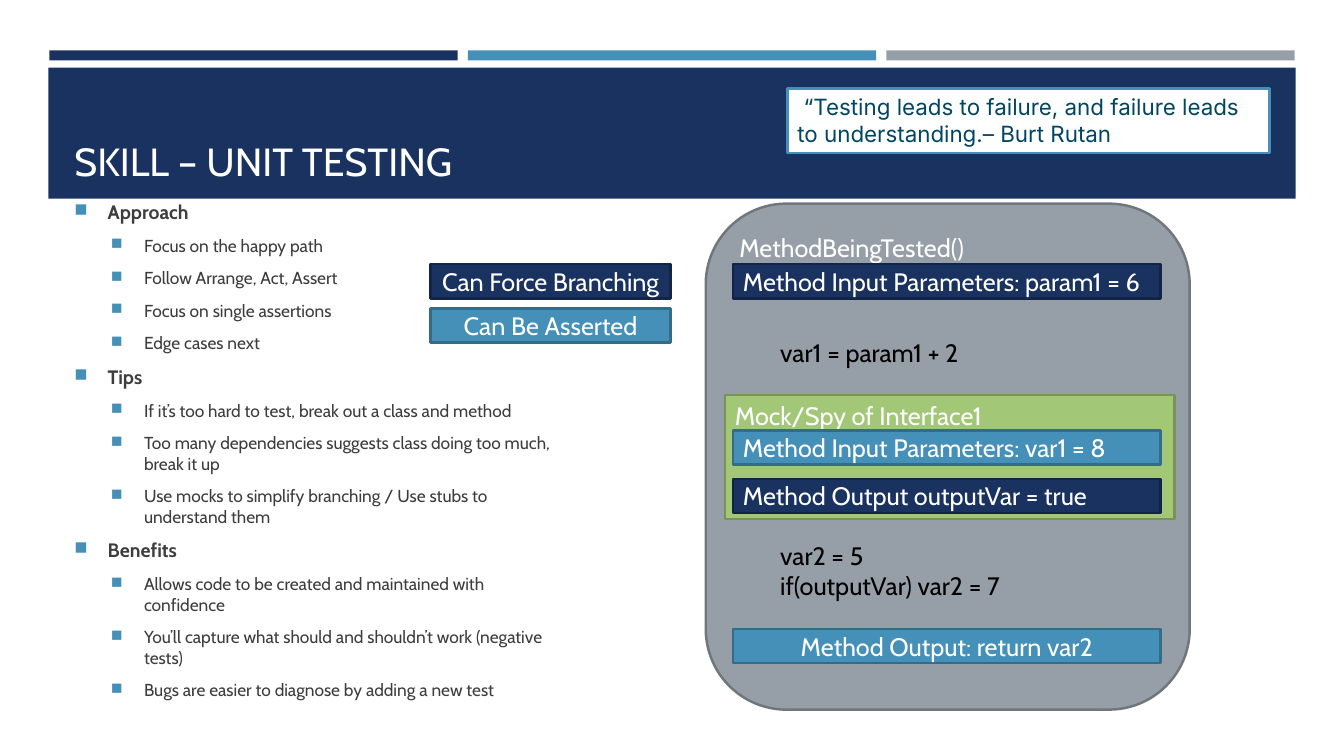
from pptx import Presentation
from pptx.dml.color import RGBColor
from pptx.enum.shapes import MSO_SHAPE
from pptx.enum.text import MSO_ANCHOR, PP_ALIGN
from pptx.oxml import parse_xml
from pptx.oxml.ns import nsdecls
from pptx.util import Inches, Pt

RECTANGLE = MSO_SHAPE.RECTANGLE
ROUNDED = MSO_SHAPE.ROUNDED_RECTANGLE
TOP, MIDDLE, BOTTOM = MSO_ANCHOR.TOP, MSO_ANCHOR.MIDDLE, MSO_ANCHOR.BOTTOM
LEFT, CENTER = PP_ALIGN.LEFT, PP_ALIGN.CENTER

NAVY = RGBColor(0x1A, 0x32, 0x60)
NAVY_EDGE = RGBColor(0x13, 0x25, 0x47)
BLUE = RGBColor(0x45, 0x90, 0xB8)
BLUE_EDGE = RGBColor(0x33, 0x6B, 0x88)
GRAY = RGBColor(0x96, 0x9F, 0xA7)
GRAY_EDGE = RGBColor(0x6F, 0x76, 0x7C)
GREEN = RGBColor(0xA2, 0xC7, 0x77)
GREEN_EDGE = RGBColor(0x78, 0x93, 0x58)
TEAL = RGBColor(0x00, 0x46, 0x63)
DARK = RGBColor(0x3D, 0x3D, 0x3D)
WHITE = RGBColor(0xFF, 0xFF, 0xFF)
BLACK = RGBColor(0x00, 0x00, 0x00)


def add_text(shape, lines, size=18, color=WHITE, anchor=TOP, align=LEFT, font="Cabin"):
    frame = shape.text_frame
    frame.word_wrap = True
    frame.vertical_anchor = anchor
    for index, line in enumerate(lines):
        paragraph = frame.add_paragraph() if index else frame.paragraphs[0]
        paragraph.alignment = align
        run = paragraph.add_run()
        run.text = line
        run.font.size = Pt(size)
        run.font.name = font
        run.font.color.rgb = color


def add_box(left, top, width, height, fill, edge=None, kind=RECTANGLE):
    shape = slide.shapes.add_shape(
        kind, Inches(left), Inches(top), Inches(width), Inches(height))
    shape.shadow.inherit = False
    shape.fill.solid()
    shape.fill.fore_color.rgb = fill
    if edge is None:
        shape.line.fill.background()
    else:
        shape.line.color.rgb = edge
        shape.line.width = Pt(1.75)
    return shape


presentation = Presentation()
presentation.slide_width = Inches(13.33)
presentation.slide_height = Inches(7.5)
slide = presentation.slides.add_slide(presentation.slide_layouts[6])

# Accent bars and title band
for column, color in enumerate((NAVY, BLUE, GRAY)):
    add_box(0.49 + column * 4.15, 0.5, 4.05, 0.1, color)
add_box(0.48, 0.67, 12.37, 1.3, NAVY)
title = slide.shapes.add_textbox(Inches(0.64), Inches(0.77), Inches(12.06), Inches(1.11))
add_text(title, ["SKILL – UNIT TESTING"], size=28, anchor=BOTTOM)

# Bulleted advice
advice = [
    ("Approach", ["Focus on the happy path", "Follow Arrange, Act, Assert",
                  "Focus on single assertions", "Edge cases next"]),
    ("Tips", ["If it’s too hard to test, break out a class and method",
              "Too many dependencies suggests class doing too much, break it up",
              "Use mocks to simplify branching / Use stubs to understand them"]),
    ("Benefits", ["Allows code to be created and maintained with confidence",
                  "You’ll capture what should and shouldn’t work (negative tests)",
                  "Bugs are easier to diagnose by adding a new test"]),
]
entries = []
for heading, points in advice:
    entries.append((heading, 0))
    entries.extend((point, 1) for point in points)

body = slide.shapes.add_textbox(Inches(0.64), Inches(1.99), Inches(5.1), Inches(5.1))
body.text_frame.margin_top = body.text_frame.margin_bottom = 0
add_text(body, [text for text, level in entries], size=12.4, color=DARK)
for index, (paragraph, (text, level)) in enumerate(zip(body.text_frame.paragraphs, entries)):
    paragraph.level = level
    paragraph.line_spacing = 0.99
    paragraph.space_before = Pt(2.5 if index else 0)
    paragraph.space_after = Pt(6)
    if level == 0:
        paragraph.runs[0].font.size = Pt(13.9)
        paragraph.runs[0].font.bold = True
    properties = paragraph._p.get_or_add_pPr()
    properties.set("marL", str(Inches(0.69 if level else 0.33)))
    properties.set("indent", str(Inches(-0.33)))
    for bullet in (f'<a:buClr {nsdecls("a")}><a:srgbClr val="{BLUE}"/></a:buClr>',
                   f'<a:buSzPct {nsdecls("a")} val="92000"/>',
                   f'<a:buChar {nsdecls("a")} char="■"/>'):
        properties.append(parse_xml(bullet))

# Tested method and mocked interface
method = add_box(7, 2.02, 4.8, 5.02, GRAY, GRAY_EDGE, ROUNDED)
add_text(method, ["MethodBeingTested()"])
mock = add_box(7.19, 3.92, 4.46, 1.23, GREEN, GREEN_EDGE)
add_text(mock, ["Mock/Spy of Interface1"])

# Legend and value bars: navy forces branching, blue can be asserted
bars = [
    (4.27, 2.62, 2.38, NAVY, NAVY_EDGE, CENTER, "Can Force Branching"),
    (4.27, 3.06, 2.38, BLUE, BLUE_EDGE, CENTER, "Can Be Asserted"),
    (7.27, 2.62, 4.24, NAVY, NAVY_EDGE, LEFT, "Method Input Parameters: param1 = 6"),
    (7.27, 4.27, 4.24, BLUE, BLUE_EDGE, LEFT, "Method Input Parameters: var1 = 8"),
    (7.27, 4.75, 4.24, NAVY, NAVY_EDGE, LEFT, "Method Output outputVar = true"),
    (7.27, 6.24, 4.24, BLUE, BLUE_EDGE, CENTER, "Method Output: return var2"),
]
for left, top, width, fill, edge, align, text in bars:
    bar = add_box(left, top, width, 0.34, fill, edge)
    add_text(bar, [text], anchor=MIDDLE, align=align)

# Code lines
for top, width, height, lines in [
    (3.3, 2.11, 0.4, ["var1 = param1 + 2"]),
    (5.31, 2.44, 0.71, ["var2 = 5", "if(outputVar) var2 = 7"]),
]:
    code = slide.shapes.add_textbox(Inches(7.64), Inches(top), Inches(width), Inches(height))
    add_text(code, lines, color=BLACK)
    code.text_frame.word_wrap = False

# Quotation
quote = add_box(7.81, 0.88, 4.78, 0.64, WHITE, BLUE)
add_text(quote, [" “Testing leads to failure, and failure leads to understanding.– Burt Rutan"],
         size=16, color=TEAL, font="Inter")

presentation.save("out.pptx")
